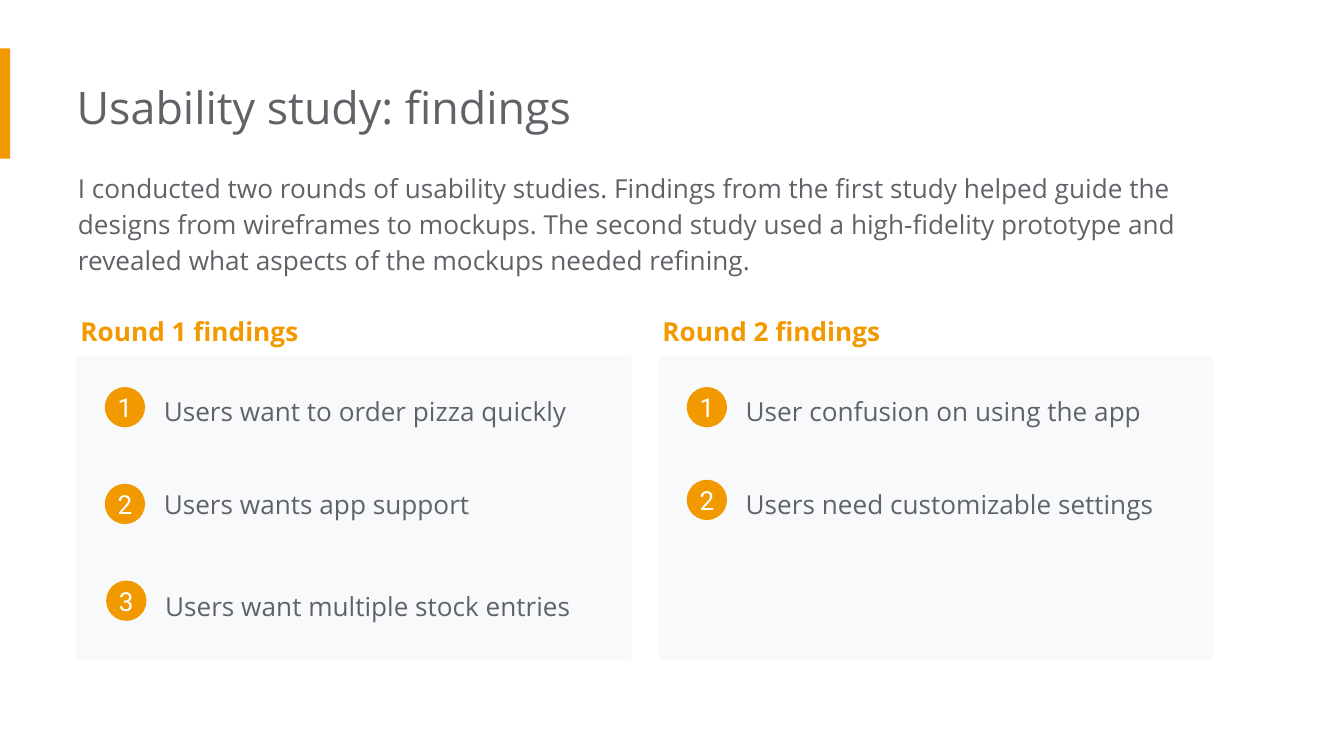
from pptx import Presentation
from pptx.dml.color import RGBColor
from pptx.enum.shapes import MSO_SHAPE
from pptx.enum.text import MSO_ANCHOR, MSO_AUTO_SIZE, PP_ALIGN
from pptx.util import Pt

RECTANGLE, OVAL = MSO_SHAPE.RECTANGLE, MSO_SHAPE.OVAL
TOP, MIDDLE = MSO_ANCHOR.TOP, MSO_ANCHOR.MIDDLE
LEFT, CENTER = PP_ALIGN.LEFT, PP_ALIGN.CENTER
GROW, FIXED = MSO_AUTO_SIZE.SHAPE_TO_FIT_TEXT, MSO_AUTO_SIZE.NONE

ORANGE = RGBColor(0xF2, 0x99, 0x00)
GRAY = RGBColor(0x5F, 0x63, 0x68)
PANEL = RGBColor(0xF8, 0xF9, 0xFA)
WHITE = RGBColor(0xFF, 0xFF, 0xFF)

PX = 4572  # EMU per px, 200 px to the inch


def write(box, text, size=14, font="Open Sans", color=GRAY, bold=False,
          align=LEFT, anchor=TOP, spacing=1.15, inset=20, left_inset=20, fit=GROW):
    frame = box.text_frame
    frame.word_wrap = True
    frame.auto_size = fit
    frame.vertical_anchor = anchor
    frame.margin_left = left_inset * PX
    frame.margin_top = frame.margin_right = frame.margin_bottom = inset * PX
    para = frame.paragraphs[0]
    para.alignment = align
    para.line_spacing = spacing
    span = para.add_run()
    span.text = text
    span.font.size = Pt(size)
    span.font.name = font
    span.font.bold = bold
    span.font.color.rgb = color


def add_filled(kind, left, top, width, height, color):
    shape = slide.shapes.add_shape(kind, left * PX, top * PX, width * PX, height * PX)
    shape.shadow.inherit = False
    shape.fill.solid()
    shape.fill.fore_color.rgb = color
    shape.line.fill.background()
    return shape


deck = Presentation()
deck.slide_width, deck.slide_height = 2000 * PX, 1125 * PX
slide = deck.slides.add_slide(deck.slide_layouts[5])

# Accent bar
add_filled(RECTANGLE, 0, 72, 15, 164, ORANGE)

# Title
title = slide.shapes.title
title.left, title.top, title.width, title.height = 114 * PX, 98 * PX, 1346 * PX, 122 * PX
write(title, "Usability study: findings", size=24, spacing=1.0, left_inset=0)

# Introduction
intro = slide.shapes.add_textbox(116 * PX, 230 * PX, 1722 * PX, 196 * PX)
write(intro, "I conducted two rounds of usability studies. Findings from the first study "
      "helped guide the designs from wireframes to mockups. The second study used a "
      "high-fidelity prototype and revealed what aspects of the mockups needed refining.",
      left_inset=0)

# Rounds: heading, then findings as (text, text top, badge top, shift right)
rounds = [
    ("Round 1 findings", [
        ("Users want to order pizza quickly", 562, 576, 0),
        ("Users wants app support", 700, 720, 0),
        ("Users want multiple stock entries", 852, 864, 2),
    ]),
    ("Round 2 findings", [
        ("User confusion on using the app", 562, 576, 0),
        ("Users need customizable settings", 700, 714, 0),
    ]),
]
for column, (heading, findings) in enumerate(rounds):
    left = 114 + column * 866
    add_filled(RECTANGLE, left, 530, 826, 452, PANEL)
    heading_box = slide.shapes.add_textbox((left - 14) * PX, 442 * PX, 730 * PX, 88 * PX)
    write(heading_box, heading, color=ORANGE, bold=True)

    for number, (finding, text_top, badge_top, shift) in enumerate(findings, 1):
        finding_box = slide.shapes.add_textbox(
            (left + 110 + shift) * PX, text_top * PX, 730 * PX, 94 * PX)
        write(finding_box, finding)
        badge = add_filled(OVAL, left + 42 + shift, badge_top, 60, 60, ORANGE)
        write(badge, str(number), font="Roboto", color=WHITE, align=CENTER,
              anchor=MIDDLE, spacing=1.0, inset=0, left_inset=0, fit=FIXED)

deck.save("out.pptx")
